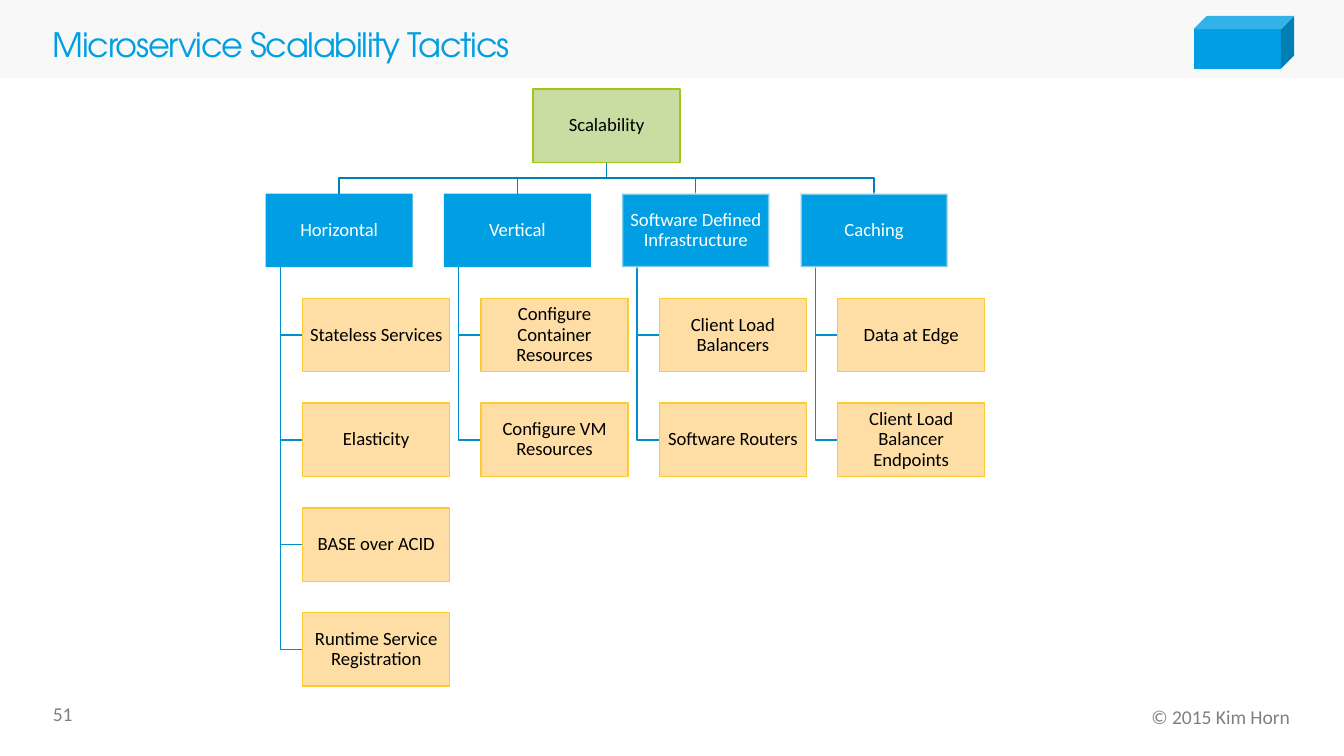
"""Build the slide that charts microservice scalability tactics as a tree."""
import dataclasses

import pptx
import pptx.dml.color
import pptx.enum.shapes
import pptx.enum.text
import pptx.oxml
import pptx.oxml.ns
import pptx.util

Cm = pptx.util.Cm
Pt = pptx.util.Pt
RGB = pptx.dml.color.RGBColor.from_string
SHAPE = pptx.enum.shapes.MSO_SHAPE
ALIGN = pptx.enum.text.PP_ALIGN
ANCHOR = pptx.enum.text.MSO_ANCHOR


@dataclasses.dataclass(frozen=True)
class Theme:
    body_font: str = "Calibri"
    title_font: str = "TeX Gyre Adventor"
    title_size: float = 18
    footer_size: float = 10.5
    box_size: float = 10
    hairline: float = 0.75
    soft_line: float = 1.35
    accent: str = "009FE3"
    band: str = "F2F2F2"
    grey: str = "808080"
    dark: str = "000000"
    light: str = "FFFFFF"
    root_fill: str = "C9DCA2"
    root_line: str = "A2C617"
    tactic_fill: str = "FEDEA5"
    tactic_line: str = "FECA33"
    soft_edge: str = "F9F9F9"
    trunk: str = "007FB6"
    branch: str = "0090CE"


THEME = Theme()

BOX_W, BOX_H = 2.78, 1.39
LEFT, TOP = 5.02, 1.68
COLUMN_STEP, ROW_STEP = 3.37, 1.98
STEM_INDENT, TACTIC_INDENT = 0.28, 0.7

CATEGORIES = [
    ("Horizontal", False, ["Stateless Services", "Elasticity", "BASE over ACID",
                           "Runtime Service Registration"]),
    ("Vertical", False, ["Configure Container Resources", "Configure VM Resources"]),
    ("Software Defined Infrastructure", True, ["Client Load Balancers", "Software Routers"]),
    ("Caching", True, ["Data at Edge", "Client Load Balancer Endpoints"]),
]


def write(holder, text, *, size, color, font=THEME.body_font, align=ALIGN.LEFT,
          anchor=ANCHOR.MIDDLE, insets=(0, 0, 0, 0), line_spacing=None, tracking=None):
    frame = holder.text_frame
    frame.word_wrap = True
    frame.vertical_anchor = anchor
    frame.margin_left, frame.margin_top, frame.margin_right, frame.margin_bottom = map(Cm, insets)
    paragraph = frame.paragraphs[0]
    paragraph.alignment = align
    if line_spacing:
        paragraph.line_spacing = line_spacing
    run = paragraph.add_run()
    run.text = text
    run.font.name = font
    run.font.size = Pt(size)
    run.font.color.rgb = RGB(color)
    if tracking:
        run._r.get_or_add_rPr().set("spc", str(round(tracking * 100)))


def add_label(slide, area, text, **text_format):
    write(slide.shapes.add_textbox(*map(Cm, area)), text, **text_format)


def make_half_transparent(element):
    for tint in element.iter(pptx.oxml.ns.qn("a:srgbClr")):
        alpha = pptx.oxml.parse_xml(f'<a:alpha {pptx.oxml.ns.nsdecls("a")} val="50000"/>')
        tint.append(alpha)


def add_block(slide, area, fill, line=None, width=THEME.hairline, kind=SHAPE.RECTANGLE):
    block = slide.shapes.add_shape(kind, *map(Cm, area))
    block.shadow.inherit = False
    block.fill.solid()
    block.fill.fore_color.rgb = RGB(fill)
    if line:
        block.line.color.rgb = RGB(line)
        block.line.width = Pt(width)
    else:
        block.line.fill.background()
    return block


def add_node(slide, left, row, text, fill, color, line=None, width=THEME.hairline):
    node = add_block(slide, (left, row_top(row), BOX_W, BOX_H), fill, line, width)
    write(node, text, size=THEME.box_size, color=color, align=ALIGN.CENTER,
          insets=(0.03,) * 4, line_spacing=0.9)
    return node


def add_elbow(slide, points, color):
    start, *bends = [(Cm(x), Cm(y)) for x, y in points]
    builder = slide.shapes.build_freeform(*start)
    builder.add_line_segments(bends, close=False)
    elbow = builder.convert_to_shape()
    elbow.shadow.inherit = False
    elbow.fill.background()
    elbow.line.color.rgb = RGB(color)
    elbow.line.width = Pt(THEME.hairline)


def row_top(row):
    return TOP + row * ROW_STEP


def add_category(slide, left, root_center, name, soft_edged, tactics):
    root_bottom, category_top = row_top(0) + BOX_H, row_top(1)
    middle = (root_bottom + category_top) / 2
    center = left + BOX_W / 2
    add_elbow(slide, [(root_center, root_bottom), (root_center, middle),
                      (center, middle), (center, category_top)], THEME.trunk)
    stem, tactic_left = left + STEM_INDENT, left + TACTIC_INDENT
    for row, tactic in enumerate(tactics, start=2):
        level = row_top(row) + BOX_H / 2
        add_elbow(slide, [(stem, category_top + BOX_H), (stem, level), (tactic_left, level)],
                  THEME.branch)
        add_node(slide, tactic_left, row, tactic, THEME.tactic_fill, THEME.dark,
                 THEME.tactic_line)
    edge = THEME.soft_edge if soft_edged else None
    category = add_node(slide, left, 1, name, THEME.accent, THEME.light, edge, THEME.soft_line)
    if soft_edged:
        make_half_transparent(category.line._get_or_add_ln())


def add_tree(slide):
    root_left = LEFT + COLUMN_STEP * (len(CATEGORIES) - 1) / 2
    for column, category in enumerate(CATEGORIES):
        add_category(slide, LEFT + column * COLUMN_STEP, root_left + BOX_W / 2, *category)
    add_node(slide, root_left, 0, "Scalability", THEME.root_fill, THEME.dark, THEME.root_line)


def add_frame(slide):
    band = add_block(slide, (0, 0, 25.4, 1.48), THEME.band)
    make_half_transparent(band.fill._xPr)
    add_block(slide, (22.56, 0.3, 1.9, 1), THEME.accent, kind=SHAPE.CUBE)
    add_label(slide, (1, 0.53, 20.45, 0.69), "Microservice Scalability Tactics",
              size=THEME.title_size, color=THEME.accent, font=THEME.title_font,
              line_spacing=0.9, tracking=-0.7)
    add_label(slide, (1, 13.13, 0.81, 0.58), "51", size=THEME.footer_size, color=THEME.grey,
              anchor=ANCHOR.TOP, insets=(0, 0.13, 0.25, 0))
    add_label(slide, (14.3, 13.31, 10.08, 0.46), "© 2015 Kim Horn", size=THEME.footer_size,
              color=THEME.grey, align=ALIGN.RIGHT)


def main():
    deck = pptx.Presentation()
    deck.slide_width, deck.slide_height = Cm(25.4), Cm(14.29)
    slide = deck.slides.add_slide(deck.slide_layouts[6])
    add_frame(slide)
    add_tree(slide)
    deck.save("out.pptx")


if __name__ == "__main__":
    main()
